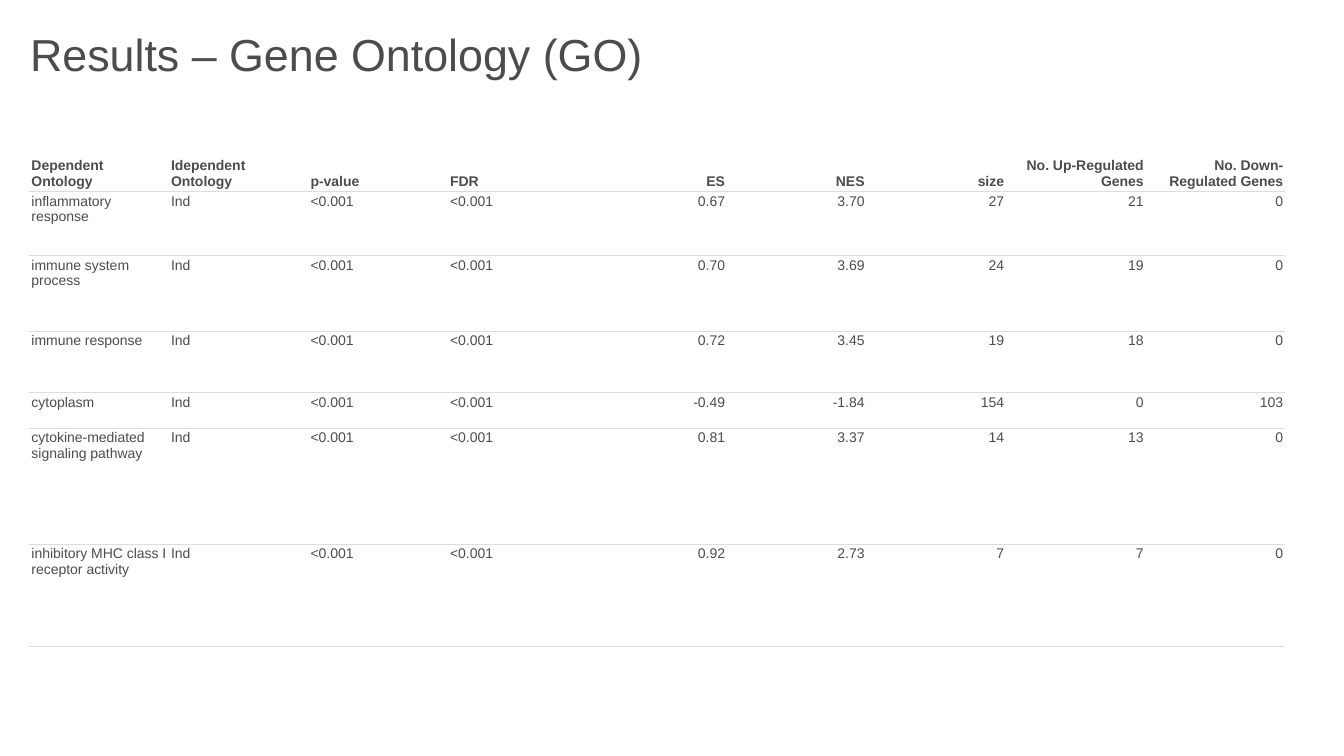
import pptx
import pptx.dml.color
import pptx.enum.text
import pptx.oxml
import pptx.oxml.ns
import pptx.util

Pt = pptx.util.Pt
ANCHOR = pptx.enum.text.MSO_ANCHOR
ALIGN = pptx.enum.text.PP_ALIGN
TEXT_GREY = pptx.dml.color.RGBColor(0x4B, 0x4C, 0x4F)
RULE_GREY = pptx.dml.color.RGBColor(0xDD, 0xDD, 0xDD)
FONT = "Arial"

HEADERS = ["Dependent Ontology", "Idependent Ontology", "p-value", "FDR", "ES", "NES",
           "size", "No. Up-Regulated Genes", "No. Down-Regulated Genes"]
ONTOLOGIES = [
    ("inflammatory response", "0.67", "3.70", "27", "21", "0"),
    ("immune system process", "0.70", "3.69", "24", "19", "0"),
    ("immune response", "0.72", "3.45", "19", "18", "0"),
    ("cytoplasm", "-0.49", "-1.84", "154", "0", "103"),
    ("cytokine-mediated signaling pathway", "0.81", "3.37", "14", "13", "0"),
    ("inhibitory MHC class I receptor activity", "0.92", "2.73", "7", "7", "0"),
]
SHARED_VALUES = ["Ind", "<0.001", "<0.001"]
ROW_HEIGHTS = [54, 45.8, 54, 43.9, 25.4, 82.8, 73.2]
FIRST_NUMBER_COLUMN = 4


def write_text(tf, text, size=10, bold=False, align=ALIGN.LEFT, line_spacing=1.0):
    """Write one formatted paragraph into a text frame."""
    tf.word_wrap = True
    p = tf.paragraphs[0]
    p.alignment = align
    p.line_spacing = line_spacing
    r = p.add_run()
    r.text = text
    r.font.name = FONT
    r.font.size = Pt(size)
    r.font.bold = bold
    r.font.color.rgb = TEXT_GREY


def set_borders(cell, ruled_sides):
    """Rule the given sides of a cell and clear the other sides."""
    tcPr = cell._tc.get_or_add_tcPr()
    for side in "LRTB":
        paint = "<a:noFill/>"
        if side in ruled_sides:
            paint = f'<a:solidFill><a:srgbClr val="{RULE_GREY}"/></a:solidFill>'
        tcPr.append(pptx.oxml.parse_xml(
            f'<a:ln{side} {pptx.oxml.ns.nsdecls("a")} w="{Pt(0.75)}">{paint}</a:ln{side}>'))


def add_title(slide, text, left, top, width, height):
    """Add the slide title, centred vertically in its box."""
    tf = slide.shapes.add_textbox(Pt(left), Pt(top), Pt(width), Pt(height)).text_frame
    tf.vertical_anchor = ANCHOR.MIDDLE
    write_text(tf, text, size=32, line_spacing=0.9)


def add_ontology_table(slide, left, top, width):
    """Add the ontology table with equal columns across the given width."""
    rows = [HEADERS] + [[name, *SHARED_VALUES, *numbers] for name, *numbers in ONTOLOGIES]
    table = slide.shapes.add_table(len(rows), len(HEADERS), Pt(left), Pt(top),
                                   Pt(width), Pt(sum(ROW_HEIGHTS))).table
    table.horz_banding = False
    for column in table.columns:
        column.width = Pt(width / len(HEADERS))
    for i, (values, height) in enumerate(zip(rows, ROW_HEIGHTS)):
        table.rows[i].height = Pt(height)
        for j, value in enumerate(values):
            cell = table.cell(i, j)
            set_borders(cell, "TB" if i else "B")
            cell.fill.background()
            cell.margin_left = cell.margin_right = Pt(1.5)
            cell.margin_top = cell.margin_bottom = Pt(1.5)
            cell.vertical_anchor = ANCHOR.TOP if i else ANCHOR.BOTTOM
            write_text(cell.text_frame, value, bold=i == 0,
                       align=ALIGN.RIGHT if j >= FIRST_NUMBER_COLUMN else ALIGN.LEFT)


def main():
    """Build the slide and save it."""
    prs = pptx.Presentation()
    prs.slide_width, prs.slide_height = Pt(960), Pt(540)
    slide = prs.slides.add_slide(prs.slide_layouts[6])
    add_title(slide, "Results – Gene Ontology (GO)", 14.4, 0, 897, 81)
    add_ontology_table(slide, 21, 82.8, 897)
    prs.save("out.pptx")


if __name__ == "__main__":
    main()
